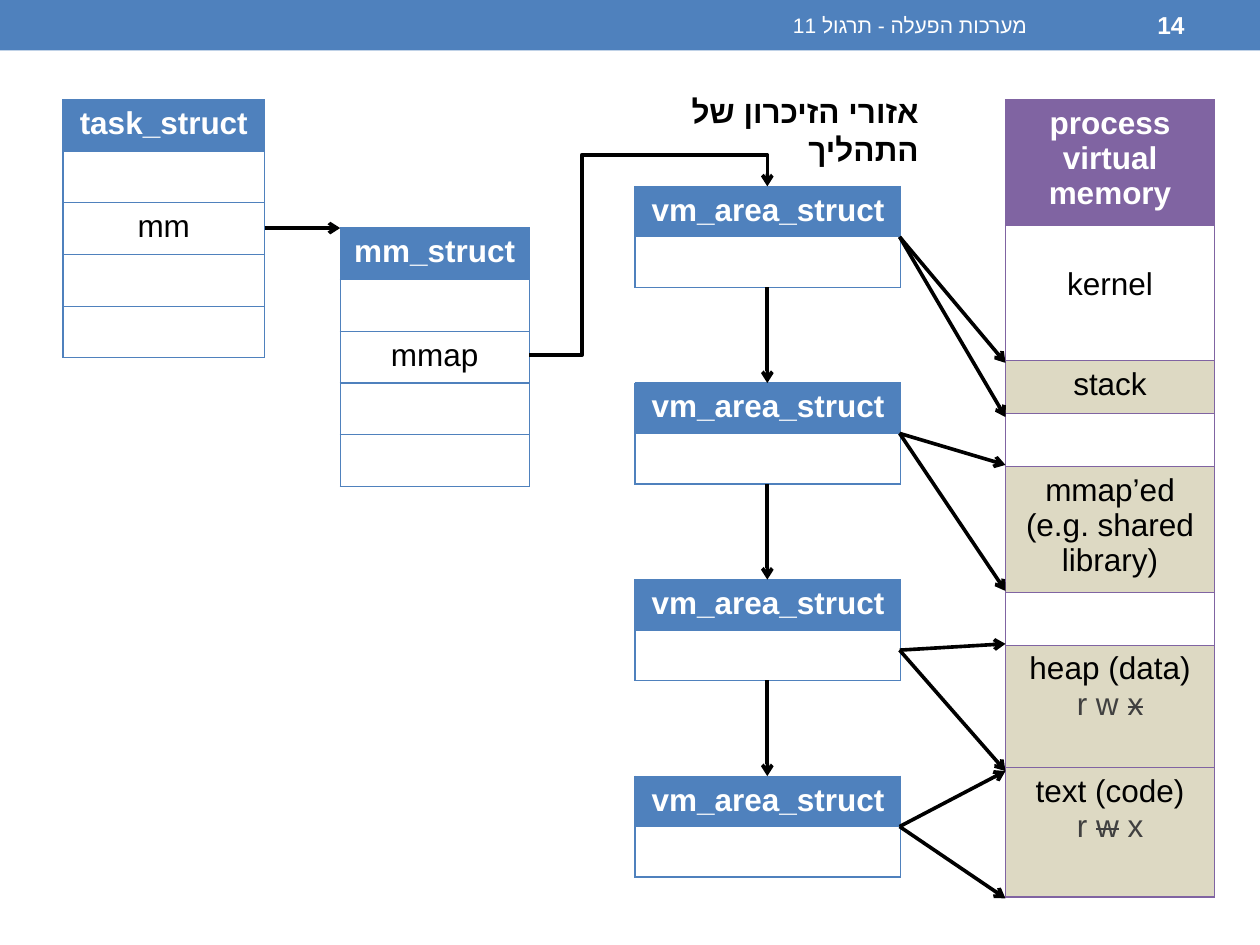
from dataclasses import dataclass

from lxml.etree import SubElement
from pptx import Presentation
from pptx.dml.color import RGBColor
from pptx.enum.shapes import MSO_CONNECTOR as Connector
from pptx.enum.shapes import MSO_SHAPE as Shape
from pptx.enum.text import MSO_ANCHOR as Anchor
from pptx.enum.text import PP_ALIGN as Align
from pptx.oxml.ns import qn
from pptx.util import Inches, Pt

FONT = "Arial"
BLUE, PURPLE, TAN = "4F81BD", "8064A2", "DDD9C3"
BLACK, WHITE, GRAY = "000000", "FFFFFF", "404040"


@dataclass(frozen=True)
class Row:
    height: float
    text: str = ""
    fill: str = ""
    top_margin: float = 0.05


@dataclass(frozen=True)
class Struct:
    left: float
    top: float
    width: float
    color: str
    rows: tuple[Row, ...]


@dataclass(frozen=True)
class Area:
    top: float
    source_y: float
    region_start: float
    region_end: float


def rgb(color: str) -> RGBColor:
    return RGBColor.from_string(color)


def write(frame, text: str, *, size: float = 18, color: str = BLACK,
          detail_color: str = GRAY, bold: bool = False,
          align: Align = Align.CENTER, rtl: bool = False) -> None:
    frame.word_wrap = True
    for index, line in enumerate(text.split("\n")):
        paragraph = frame.add_paragraph() if index else frame.paragraphs[0]
        paragraph.alignment = align
        if rtl:
            paragraph._p.get_or_add_pPr().set("rtl", "1")
        for part, piece in enumerate(line.split("~")):
            if not piece:
                continue
            run = paragraph.add_run()
            run.text = piece
            run.font.size = Pt(size)
            run.font.bold = bold
            run.font.name = FONT
            run.font.color.rgb = rgb(detail_color if index else color)
            properties = run._r.get_or_add_rPr()
            SubElement(properties, qn("a:cs"), typeface=FONT)
            if part % 2:
                properties.set("strike", "sngStrike")


def add_label(slide, text: str, left: float, top: float, width: float,
              height: float, anchor: Anchor = Anchor.MIDDLE, **text_format) -> None:
    box = slide.shapes.add_textbox(
        Inches(left), Inches(top), Inches(width), Inches(height))
    box.text_frame.vertical_anchor = anchor
    write(box.text_frame, text, align=Align.RIGHT, rtl=True, **text_format)


def set_borders(cell, color: str) -> None:
    properties = cell._tc.get_or_add_tcPr()
    for position, side in enumerate(("lnL", "lnR", "lnT", "lnB")):
        line = SubElement(properties, qn(f"a:{side}"), w=str(Pt(0.75)))
        fill = SubElement(line, qn("a:solidFill"))
        SubElement(fill, qn("a:srgbClr"), val=color)
        properties.insert(position, line)


def add_struct(slide, struct: Struct) -> None:
    height = sum(row.height for row in struct.rows)
    table = slide.shapes.add_table(
        len(struct.rows), 1, Inches(struct.left), Inches(struct.top),
        Inches(struct.width), Inches(height)).table
    table.horz_banding = False
    table.first_row = False
    for index, row in enumerate(struct.rows):
        table.rows[index].height = Inches(row.height)
        cell = table.cell(index, 0)
        cell.margin_top = Inches(row.top_margin)
        if row.fill:
            cell.fill.solid()
            cell.fill.fore_color.rgb = rgb(row.fill)
        else:
            cell.fill.background()
        set_borders(cell, struct.color)
        header = index == 0
        write(cell.text_frame, row.text, bold=header,
              color=WHITE if header else BLACK)


def add_arrow(slide, start: tuple[float, float], end: tuple[float, float],
              kind: Connector = Connector.STRAIGHT):
    arrow = slide.shapes.add_connector(
        kind, *(Inches(value) for value in (*start, *end)))
    arrow.line.color.rgb = rgb(BLACK)
    arrow.line.width = Pt(2.08)
    SubElement(arrow.line._get_or_add_ln(), qn("a:tailEnd"), type="arrow")
    SubElement(arrow._element.spPr, qn("a:effectLst"))
    return arrow


def add_bent_arrow(slide, start: tuple[float, float], end: tuple[float, float],
                   adjustments: tuple[int, ...]) -> None:
    arrow = add_arrow(slide, start, end, Connector.ELBOW)
    geometry = arrow._element.spPr.find(qn("a:prstGeom"))
    geometry.set("prst", "bentConnector4")
    guides = geometry.find(qn("a:avLst"))
    for number, value in enumerate(adjustments, 1):
        SubElement(guides, qn("a:gd"), name=f"adj{number}", fmla=f"val {value}")


def struct_rows(name: str, field: str) -> tuple[Row, ...]:
    return tuple(Row(0.41, text, fill) for text, fill in
                 ((name, BLUE), ("", ""), (field, ""), ("", ""), ("", "")))


AREA_LEFT, AREA_WIDTH, AREA_HEIGHT = 5.04, 2.11, 0.8
AREA_CENTER, AREA_RIGHT, MEMORY_LEFT = 6.09, 7.14, 7.98
AREAS = (
    Area(1.48, 1.88, 2.88, 3.31),
    Area(3.04, 3.44, 3.69, 4.69),
    Area(4.6, 5.16, 5.11, 6.12),
    Area(6.16, 6.56, 6.12, 7.13),
)
AREA_ROWS = (Row(0.38, "vm_area_struct", BLUE), Row(0.38))
MEMORY_ROWS = (
    Row(1, "process virtual memory", PURPLE),
    Row(1.07, "kernel", top_margin=0.33),
    Row(0.42, "stack", TAN),
    Row(0.42),
    Row(1, "mmap’ed (e.g. shared library)", TAN),
    Row(0.42),
    Row(0.97, "heap (data)\nr w ~x~", TAN),
    Row(1.03, "text (code)\nr ~w~ x", TAN),
)
STRUCTS = (
    Struct(0.5, 0.79, 1.6, BLUE, struct_rows("task_struct", "mm")),
    Struct(2.7, 1.81, 1.5, BLUE, struct_rows("mm_struct", "mmap")),
    Struct(MEMORY_LEFT, 0.79, 1.66, PURPLE, MEMORY_ROWS),
    *(Struct(AREA_LEFT, area.top, AREA_WIDTH, BLUE, AREA_ROWS) for area in AREAS),
)


def main() -> None:
    presentation = Presentation()
    presentation.slide_width = Inches(10)
    presentation.slide_height = Inches(7.5)
    slide = presentation.slides.add_slide(presentation.slide_layouts[6])

    banner = slide.shapes.add_shape(
        Shape.RECTANGLE, Inches(0), Inches(0), Inches(10), Inches(0.4))
    banner.shadow.inherit = False
    banner.fill.solid()
    banner.fill.fore_color.rgb = rgb(BLUE)
    banner.line.fill.background()
    add_label(slide, "14", 8.33, 0.02, 1.17, 0.36, size=14, color=WHITE, bold=True)
    add_label(slide, "מערכות הפעלה - תרגול 11", 3.75, 0.02, 4.5, 0.36,
              size=12, color=WHITE)

    for struct in STRUCTS:
        add_struct(slide, struct)
    add_label(slide, "אזורי הזיכרון של התהליך", 4.62, 0.68, 2.77, 0.4,
              anchor=Anchor.TOP, bold=True)

    add_arrow(slide, (2.1, 1.81), (2.7, 1.81))
    add_bent_arrow(slide, (4.2, 2.82), (AREA_CENTER, AREAS[0].top), (22100, 118700))
    for area in AREAS:
        for region_y in (area.region_start, area.region_end):
            add_arrow(slide, (AREA_RIGHT, area.source_y), (MEMORY_LEFT, region_y))
    for area, following in zip(AREAS, AREAS[1:]):
        add_arrow(slide, (AREA_CENTER, area.top + AREA_HEIGHT),
                  (AREA_CENTER, following.top))

    presentation.save("out.pptx")


if __name__ == "__main__":
    main()
